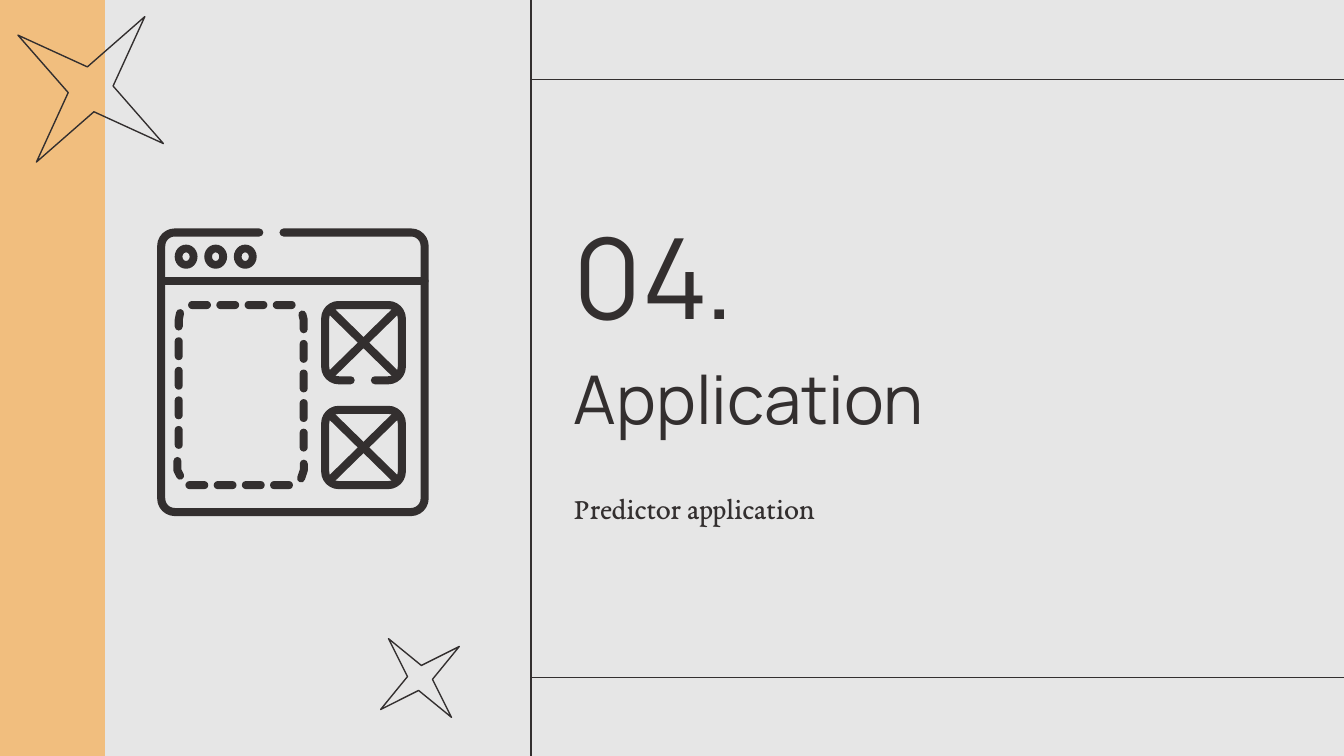
from dataclasses import dataclass
from math import cos, radians, sin

from lxml import etree
from pptx import Presentation
from pptx import util as u
from pptx.dml import color
from pptx.enum import shapes, text
from pptx.oxml import ns

PALE = color.RGBColor(0xE6, 0xE6, 0xE6)
GOLD = color.RGBColor(0xF1, 0xBE, 0x7E)
DARK = color.RGBColor(0x33, 0x2F, 0x2F)
SHAPE = shapes.MSO_SHAPE
WIDE, HIGH = 10, 10 * 9 / 16
EDGE = 3.95    # vertical rule
THICK = 0.06   # icon stroke

Point = tuple[float, float]


@dataclass
class Star:
    left: float
    top: float
    size: float
    turn: float


@dataclass
class Label:
    left: float
    top: float
    width: float
    height: float
    words: str
    font: str
    size: int
    anchor: text.MSO_ANCHOR


def add_fill(tree, kind, left: float, top: float, width: float, height: float, hue):
    item = tree.add_shape(kind, *map(u.Inches, (left, top, width, height)))
    item.shadow.inherit = False
    item.fill.solid()
    item.fill.fore_color.rgb = hue
    item.line.fill.background()
    return item


def add_star(tree, star: Star) -> None:
    item = tree.add_shape(SHAPE.STAR_4_POINT, *map(
        u.Inches, (star.left, star.top, star.size, star.size)))
    item.adjustments[0] = 0.125
    item.rotation = star.turn
    item.shadow.inherit = False
    item.fill.background()
    item.line.color.rgb = DARK
    item.line.width = u.Pt(0.75)


def add_rule(tree, start: Point, end: Point) -> None:
    rule = tree.add_connector(shapes.MSO_CONNECTOR.STRAIGHT,
                              *map(u.Inches, start + end))
    rule.line.color.rgb = DARK
    rule.line.width = u.Pt(0.75)
    etree.SubElement(rule._element.spPr, ns.qn("a:effectLst"))


def add_label(box, label: Label) -> None:
    box.left, box.top, box.width, box.height = map(
        u.Inches, (label.left, label.top, label.width, label.height))
    frame = box.text_frame
    frame.word_wrap = True
    frame.auto_size = text.MSO_AUTO_SIZE.NONE
    frame.vertical_anchor = label.anchor
    frame.margin_left = frame.margin_right = u.Inches(0.1)
    frame.margin_top = frame.margin_bottom = u.Inches(0.1)
    para = frame.paragraphs[0]
    para.alignment = text.PP_ALIGN.LEFT
    para.space_before = u.Pt(0)
    run = para.add_run()
    run.text = label.words
    run.font.name = label.font
    run.font.size = u.Pt(label.size)
    run.font.color.rgb = DARK


def add_stroke(tree, *parts: list[Point]) -> None:
    """Draw open lines with round ends as one outline."""
    paths = [[(u.Inches(x), u.Inches(y)) for x, y in part] for part in parts]
    pen = tree.build_freeform(*paths[0][0])
    pen.add_line_segments(paths[0][1:], close=False)
    for path in paths[1:]:
        pen.move_to(*path[0])
        pen.add_line_segments(path[1:], close=False)
    item = pen.convert_to_shape()
    item.shadow.inherit = False
    item.fill.background()
    item.line.color.rgb = DARK
    item.line.width = u.Inches(THICK)
    line = item.line._get_or_add_ln()
    line.set("cap", "rnd")
    etree.SubElement(line, ns.qn("a:round"))


def round_box(left: float, top: float, right: float, low: float,
              start: Point, end: Point, bend: float = 0.1) -> list[Point]:
    """Trace a rounded box clockwise between two points on its edge."""
    hubs = [(right - bend, top + bend, -90), (right - bend, low - bend, 0),
            (left + bend, low - bend, 90), (left + bend, top + bend, 180)]
    if start[1] == low:
        hubs = hubs[2:] + hubs[:2]
    curve = [(x + bend * cos(radians(turn + step)), y + bend * sin(radians(turn + step)))
             for x, y, turn in hubs for step in range(0, 91, 15)]
    return [start, *curve, end]


def add_cross(tree, top: float, start: float, end: float) -> None:
    """Draw a rounded box with both diagonals, open from end to start."""
    left, right, low = 2.42, 2.99, top + 0.56
    add_stroke(tree,
               round_box(left, top, right, low, (start, low), (end, low)),
               [(left + 0.04, top + 0.04), (right - 0.04, low - 0.04)],
               [(left + 0.04, low - 0.04), (right - 0.04, top + 0.04)])


def add_icon(tree) -> None:
    # Window frame and the bar below its buttons
    add_stroke(tree,
               round_box(1.2, 1.73, 3.16, 3.81, (2.11, 1.73), (1.93, 1.73)),
               [(1.2, 2.09), (3.16, 2.09)])
    # Crossed boxes
    add_cross(tree, 2.27, 2.61, 2.79)
    add_cross(tree, 3.05, 2.7, 2.7)
    # Corners of the dashed panel
    for bend in ([(1.33, 2.43), (1.33, 2.38), (1.34, 2.33)],
                 [(1.32, 3.43), (1.32, 3.5), (1.34, 3.54)],
                 [(2.25, 2.34), (2.26, 2.38), (2.26, 2.45)],
                 [(2.26, 3.45), (2.26, 3.5), (2.24, 3.56)]):
        add_stroke(tree, bend)
    # Sides of the dashed panel
    long = 0.17
    dashes = []
    for step in range(4):
        dashes += [(1.4 + 0.21 * step, 2.24, long, THICK),
                   (1.38 + 0.21 * step, 3.58, long, THICK),
                   (1.3, 2.51 + 0.22 * step, THICK, long),
                   (2.23, 2.53 + 0.22 * step, THICK, long)]
    for dash in dashes:
        pill = add_fill(tree, SHAPE.ROUNDED_RECTANGLE, *dash, DARK)
        pill.adjustments[0] = 0.5
    # Buttons
    for step in range(3):
        ring = add_fill(tree, SHAPE.DONUT, 1.3 + 0.22 * step, 1.82, 0.17, 0.18, DARK)
        ring.adjustments[0] = 0.34


def main() -> None:
    deck = Presentation()
    deck.slide_width, deck.slide_height = u.Inches(WIDE), u.Inches(HIGH)
    slide = deck.slides.add_slide(deck.slide_layouts[0])
    slide.background.fill.solid()
    slide.background.fill.fore_color.rgb = PALE
    tree = slide.shapes

    # Side band and stars
    add_fill(tree, SHAPE.RECTANGLE, 0, 0, 0.78, HIGH, GOLD)
    for star in (Star(0, -0.01, 1.35, 36.7), Star(2.75, 4.67, 0.75, 51.3)):
        add_star(tree, star)

    # Headings
    mid, top = text.MSO_ANCHOR.MIDDLE, text.MSO_ANCHOR.TOP
    add_label(slide.placeholders[1], Label(
        4.17, 3.54, 4.77, 0.51, "Predictor application", "EB Garamond", 16, top))
    add_label(tree.title, Label(
        4.17, 2.5, 5.6, 0.92, "Application", "Manrope", 36, mid))
    add_label(tree.add_textbox(0, 0, 0, 0), Label(
        4.17, 1.58, 3.45, 0.92, "04.", "Manrope", 60, mid))

    # Rules
    add_rule(tree, (EDGE, 0), (EDGE, HIGH))
    for y in (0.59, 5.04):
        add_rule(tree, (WIDE, y), (EDGE, y))

    add_icon(tree.add_group_shape().shapes)
    deck.save("out.pptx")


if __name__ == "__main__":
    main()
